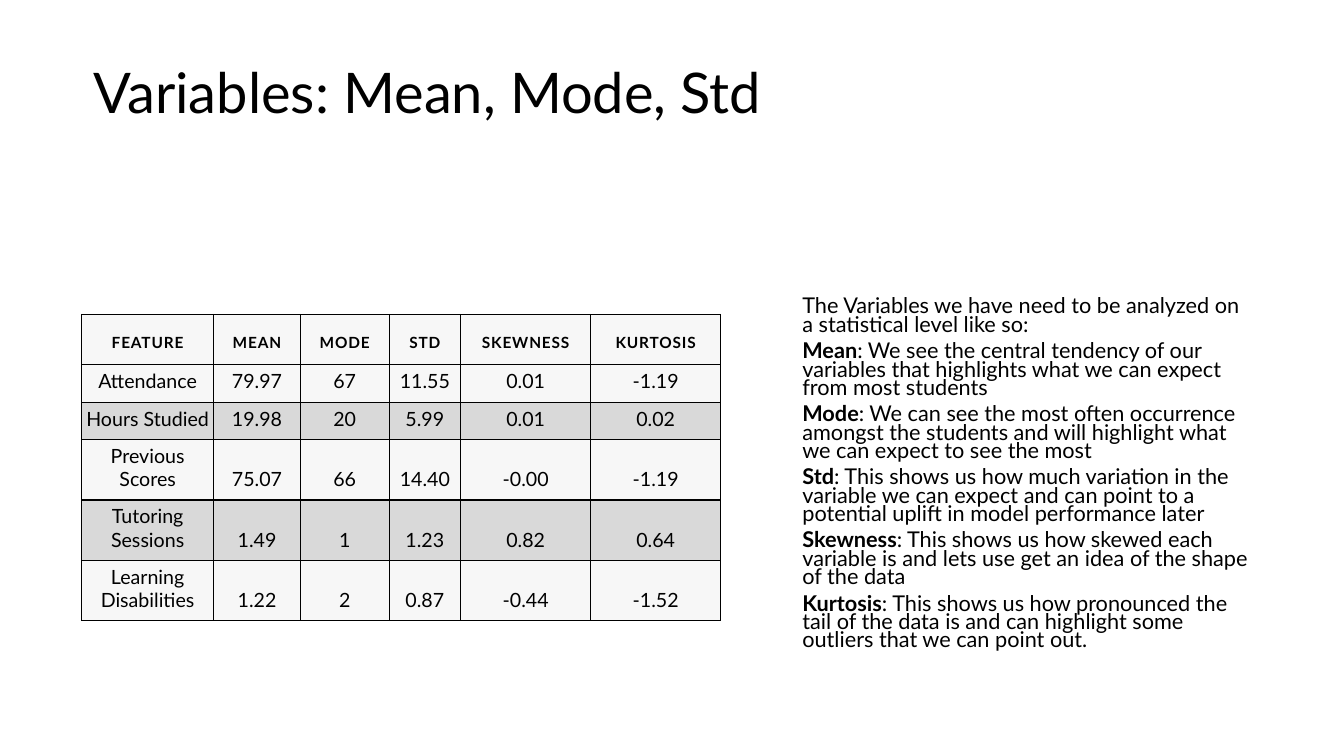
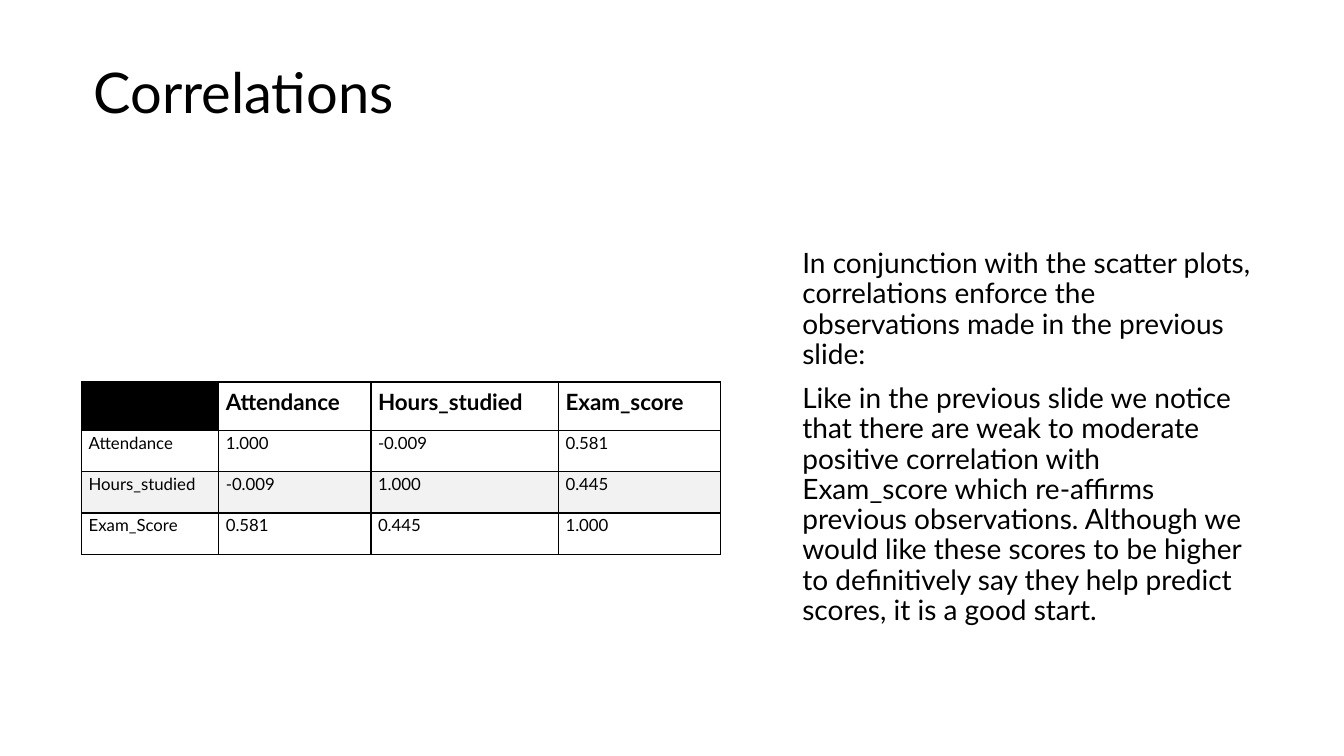
from pptx import Presentation
from pptx.dml.color import RGBColor as Rgb
from pptx.enum.shapes import MSO_SHAPE as Shape
from pptx.enum.text import MSO_ANCHOR as Anchor, PP_ALIGN as Align
from pptx.oxml import parse_xml
from pptx.oxml.ns import nsdecls
from pptx.util import Pt

PX = 9144  # 100 px to the inch
WIDE, HIGH = 1333, 750
FONT = "Lato"
BLACK, WHITE, PALE, GREY, MIST = "000000", "FFFFFF", "F7F7F7", "D9D9D9", "F2F2F2"

# Content: text as paragraphs of (text, bold) runs
STATS = {
    "title": "Variables: Mean, Mode, Std",
    "body": [
        [("The Variables we have need to be analyzed on a statistical level like so:", False)],
        [("Mean", True), (": We see the central tendency of our variables that highlights "
                          "what we can expect from most students", False)],
        [("Mode", True), (": We can see the most often occurrence amongst the students and "
                          "will highlight what we can expect to see the most", False)],
        [("Std", True), (": This shows us how much variation in the variable we can expect "
                         "and can point to a potential uplift in model performance later", False)],
        [("Skewness", True), (": This shows us how skewed each variable is and lets use get "
                              "an idea of the shape of the data", False)],
        [("Kurtosis", True), (": This shows us how pronounced the tail of the data is and can "
                              "highlight some outliers that we can point out.", False)],
    ],
    "text": dict(size=15.5, line=0.7, after=6),
    "top": 258,
    "rows": [
        ("FEATURE", "MEAN", "MODE", "STD", "SKEWNESS", "KURTOSIS"),
        ("Attendance", "79.97", "67", "11.55", "0.01", "-1.19"),
        ("Hours Studied", "19.98", "20", "5.99", "0.01", "0.02"),
        ("Previous Scores", "75.07", "66", "14.40", "-0.00", "-1.19"),
        ("Tutoring Sessions", "1.49", "1", "1.23", "0.82", "0.64"),
        ("Learning Disabilities", "1.22", "2", "0.87", "-0.44", "-1.52"),
    ],
    "grid": dict(top=312, wide=(131, 86, 88, 71, 129, 129), high=(50, 37, 37, 60, 60, 60)),
    "fills": (PALE, GREY),
    "head": dict(size=11, pad=(13, 13, 13, 13), anchor=Anchor.BOTTOM, align=Align.CENTER, gap=60),
    "cell": dict(size=14, pad=(1, 1, 1, 9), anchor=Anchor.BOTTOM, align=Align.CENTER),
}
CORR = {
    "title": "Correlations",
    "body": [
        [("In conjunction with the scatter plots, correlations enforce the observations made "
          "in the previous slide:", False)],
        [("Like in the previous slide we notice that there are weak to moderate positive "
          "correlation with Exam_score which re-affirms previous observations. Although we "
          "would like these scores to be higher to definitively say they help predict scores, "
          "it is a good start.", False)],
    ],
    "text": dict(size=20, line=0.9, before=10),
    "top": 221,
    "rows": [
        ("", "Attendance", "Hours_studied", "Exam_score"),
        ("Attendance", "1.000", "-0.009", "0.581"),
        ("Hours_studied", "-0.009", "1.000", "0.445"),
        ("Exam_Score", "0.581", "0.445", "1.000"),
    ],
    "grid": dict(top=379, wide=(136, 151, 186, 161), high=(48, 41, 41, 41)),
    "fills": (WHITE, MIST),
    "head": dict(size=16, pad=(7, 2, 10, 15), anchor=Anchor.BOTTOM, align=Align.LEFT),
    "cell": dict(size=12, pad=(7, 2, 10, 15), anchor=Anchor.TOP, align=Align.LEFT),
}


def px(n):
    return round(n * PX)


def color(code):
    return Rgb.from_string(code)


def add_band(slide):
    band = slide.shapes.add_shape(Shape.RECTANGLE, *map(px, (0, 0, WIDE, 190)))
    band.shadow.inherit = False
    band.fill.solid()
    band.fill.fore_color.rgb = color(WHITE)
    band.line.fill.background()


def add_run(para, text, size, bold=False):
    run = para.add_run()
    run.text = text
    font = run.font
    font.name, font.size, font.bold = FONT, Pt(size), bold
    font.color.rgb = color(BLACK)
    return run


def add_text(slide, box, paras, size, line, before=0, after=0):
    frame = slide.shapes.add_textbox(*map(px, box)).text_frame
    frame.word_wrap = True
    frame.vertical_anchor = Anchor.MIDDLE
    for i, runs in enumerate(paras):
        para = frame.add_paragraph() if i else frame.paragraphs[0]
        para.line_spacing = line
        para.space_before, para.space_after = Pt(before), Pt(after)
        for text, bold in runs:
            add_run(para, text, size, bold)


def add_edges(cell):
    props = cell._tc.get_or_add_tcPr()
    for i, side in enumerate("LRTB"):
        props.insert(i, parse_xml(
            f'<a:ln{side} {nsdecls("a")} w="{Pt(1)}"><a:solidFill>'
            f'<a:srgbClr val="{BLACK}"/></a:solidFill></a:ln{side}>'))


def fill_cell(cell, text, fill, bold, size, pad, anchor, align, gap=0):
    cell.fill.solid()
    cell.fill.fore_color.rgb = color(fill)
    add_edges(cell)
    cell.vertical_anchor = anchor
    cell.margin_left, cell.margin_top, cell.margin_right, cell.margin_bottom = map(px, pad)
    para = cell.text_frame.paragraphs[0]
    para.alignment = align
    if text:
        run = add_run(para, text, size, bold)
        if gap:
            run.font._element.set("spc", str(gap))


def add_grid(slide, data):
    rows, grid = data["rows"], data["grid"]
    wide, high = grid["wide"], grid["high"]
    box = (81, grid["top"], sum(wide), sum(high))
    table = slide.shapes.add_table(len(rows), len(wide), *map(px, box)).table
    table.first_row = table.horz_banding = False
    for col, w in zip(table.columns, wide):
        col.width = px(w)
    plain, shade = data["fills"]
    for r, row in enumerate(rows):
        table.rows[r].height = px(high[r])
        style = data["cell"] if r else data["head"]
        fill = shade if r and r % 2 == 0 else plain
        for c, text in enumerate(row):
            fill_cell(table.cell(r, c), text, fill if text else BLACK, r == 0, **style)


def add_page(deck, data):
    slide = deck.slides.add_slide(deck.slide_layouts[6])
    # Band, title, explanation, table
    add_band(slide)
    add_text(slide, (83, 34, 1169, 121), [[(data["title"], False)]], 40, 0.9)
    add_text(slide, (786, data["top"], 466, 427), data["body"], **data["text"])
    add_grid(slide, data)


def main():
    deck = Presentation()
    deck.slide_width, deck.slide_height = px(WIDE), px(HIGH)
    for data in (STATS, CORR):
        add_page(deck, data)
    deck.save("out.pptx")


if __name__ == "__main__":
    main()
